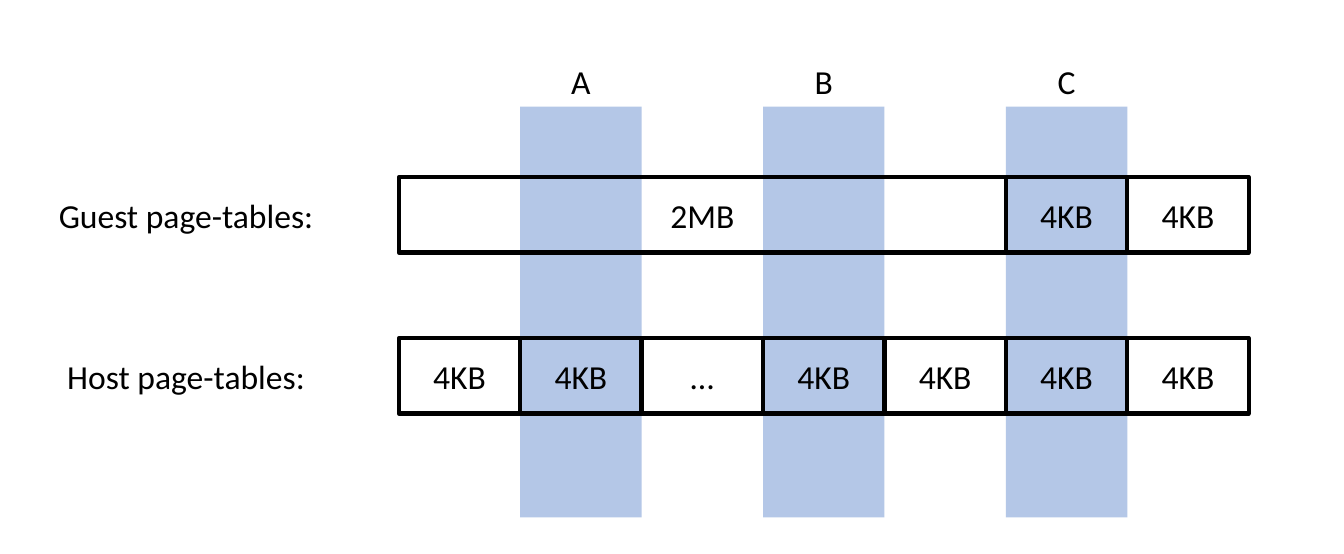
from pptx import Presentation
from pptx.dml.color import RGBColor
from pptx.enum.shapes import MSO_SHAPE
from pptx.enum.text import MSO_ANCHOR, MSO_AUTO_SIZE, PP_ALIGN
from pptx.util import Cm, Pt

BLACK, WHITE, BAND_BLUE = "000000", "FFFFFF", "B4C7E7"
PAGE_WIDTH, PAGE_HEIGHT = 3.06, 1.9
PAGES_LEFT = 10.05
LABEL_HEIGHT = 1.27

BANDS = {"A": 1, "B": 3, "C": 5}  # band name: page column
# (name, top, [(page size, columns spanned, fill)])
PAGE_TABLES = [
    ("Guest page-tables:", 4.47,
     [("2MB", 5, None), ("4KB", 1, None), ("4KB", 1, None)]),
    ("Host page-tables:", 8.53,
     [("4KB", 1, WHITE), ("4KB", 1, None), ("…", 1, WHITE), ("4KB", 1, None),
      ("4KB", 1, WHITE), ("4KB", 1, None), ("4KB", 1, None)]),
]


def color(hex_code):
    return RGBColor.from_string(hex_code)


def write(frame, words):
    paragraph = frame.paragraphs[0]
    paragraph.text = words
    paragraph.alignment = PP_ALIGN.CENTER
    font = paragraph.font
    font.name, font.size = "Calibri", Pt(24)
    font.color.rgb = color(BLACK)


def add_label(slide, words, left, top, width, wrap=True):
    box = slide.shapes.add_textbox(Cm(left), Cm(top), Cm(width), Cm(LABEL_HEIGHT))
    frame = box.text_frame
    frame.word_wrap = wrap
    frame.auto_size = MSO_AUTO_SIZE.SHAPE_TO_FIT_TEXT
    write(frame, words)


def add_rectangle(slide, left, top, width, height, fill):
    rectangle = slide.shapes.add_shape(
        MSO_SHAPE.RECTANGLE, Cm(left), Cm(top), Cm(width), Cm(height))
    rectangle.shadow.inherit = False
    if fill:
        rectangle.fill.solid()
        rectangle.fill.fore_color.rgb = color(fill)
    else:
        rectangle.fill.background()
    return rectangle


def add_band(slide, name, left, top, width, height):
    """Blue column with its name above the top edge."""
    band = add_rectangle(slide, left, top, width, height, BAND_BLUE)
    band.line.fill.background()
    add_label(slide, name, left, top - LABEL_HEIGHT, width)


def add_page(slide, size, left, top, width, height, fill):
    page = add_rectangle(slide, left, top, width, height, fill)
    page.line.color.rgb = color(BLACK)
    page.line.width = Pt(3)
    page.text_frame.vertical_anchor = MSO_ANCHOR.MIDDLE
    write(page.text_frame, size)


def add_page_table(slide, name, pages, left, top, height):
    """Row of pages with its name in the left margin."""
    add_label(slide, name, 1.2, top + (height - LABEL_HEIGHT) / 2, 6.98, wrap=False)
    for size, span, fill in pages:
        width = span * PAGE_WIDTH
        add_page(slide, size, left, top, width, height, fill)
        left += width


def main():
    deck = Presentation()
    deck.slide_width, deck.slide_height = Cm(33.87), Cm(13.97)
    slide = deck.slides.add_slide(deck.slide_layouts[6])
    for name, column in BANDS.items():
        add_band(slide, name, PAGES_LEFT + column * PAGE_WIDTH, 2.69, PAGE_WIDTH, 10.36)
    for name, top, pages in PAGE_TABLES:
        add_page_table(slide, name, pages, PAGES_LEFT, top, PAGE_HEIGHT)
    deck.save("out.pptx")


if __name__ == "__main__":
    main()
